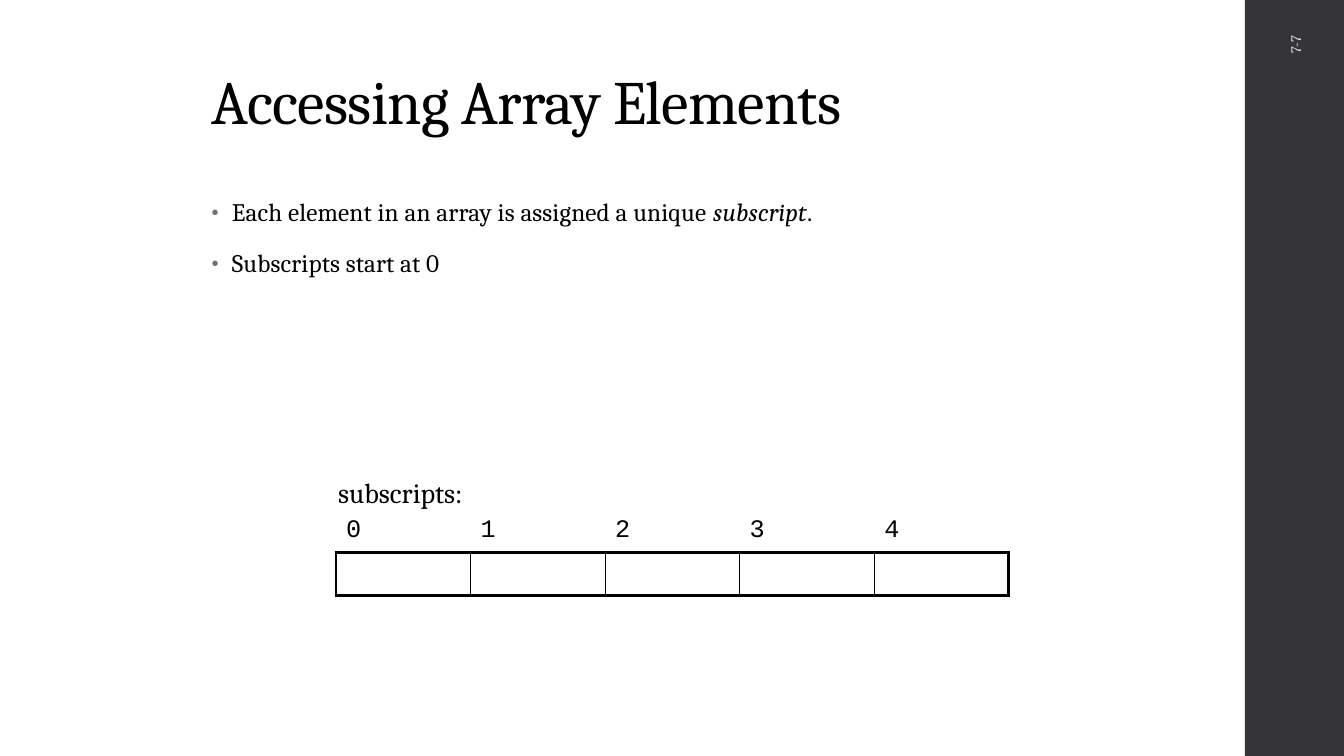
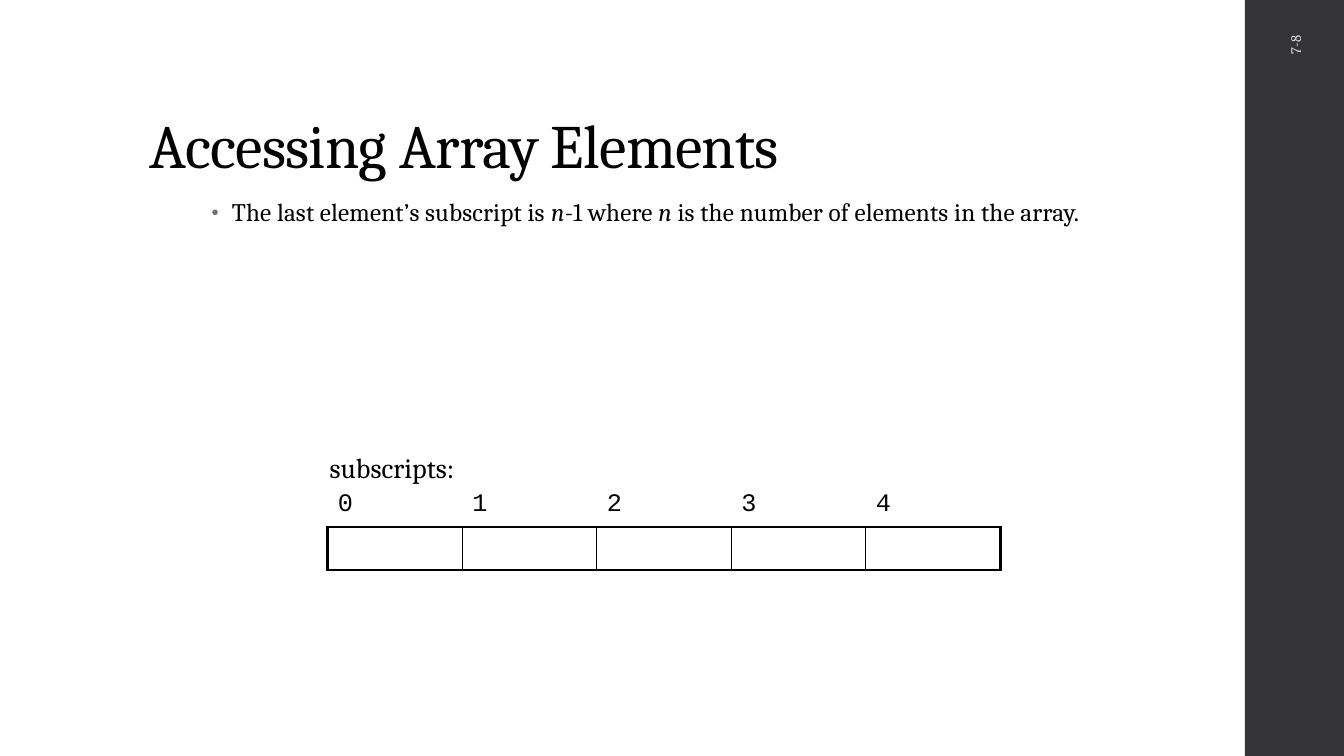
"""Build two slides on array subscripts with a shared title, band and array diagram."""
import dataclasses
import typing

import lxml.etree
import pptx
import pptx.dml.color
import pptx.enum.shapes
import pptx.enum.text
import pptx.oxml
import pptx.oxml.ns
import pptx.util

Cm = pptx.util.Cm
Pt = pptx.util.Pt
ALIGN = pptx.enum.text.PP_ALIGN
ANCHOR = pptx.enum.text.MSO_ANCHOR


@dataclasses.dataclass(frozen=True)
class Theme:
    text: str = "000000"
    band: str = "353537"
    number: str = "D9D9DB"
    bullet: str = "6F6F74"
    font: str = "Cambria"
    code_font: str = "Courier New"
    title_size: float = 44
    caption_size: float = 20
    body_size: float = 18
    number_size: float = 10.5
    thick_line: float = 2.25
    thin_line: float = 1


class Box(typing.NamedTuple):
    left: float
    top: float
    width: float
    height: float


@dataclasses.dataclass(frozen=True)
class ArraySlide:
    number: str
    title_box: Box
    bullets: tuple[str, ...]
    array_left: float
    array_top: float


THEME = Theme()
TITLE = "Accessing Array Elements"
BAND = Box(31.37, 0, 2.54, 19.05)
NUMBER_BOX = Box(30, 2.77, 5.28, 1.02)
BODY_BOX = Box(5.08, 4.88, 23.04, 12.7)
ELEMENT_COUNT = 5
ELEMENT_WIDTH = 3.39
LABEL_HEIGHT = 1.04
ELEMENT_HEIGHT = 1.08

SLIDES = (
    ArraySlide(
        "7-7",
        Box(5.08, 0.43, 21.79, 3.18),
        ("Each element in an array is assigned a unique *subscript*.", "Subscripts start at 0"),
        8.47,
        13.92,
    ),
    ArraySlide(
        "7-8",
        Box(3.51, 1.02, 26.92, 3.68),
        ("The last element’s subscript is *n*-1 where *n* is the number of elements in the array.",),
        8.26,
        13.28,
    ),
)


def lengths(box: Box) -> list[int]:
    """Convert a box in centimetres to lengths."""
    return [Cm(value) for value in box]


def write_text(paragraph, text: str, *, size: float, font: str = THEME.font, color: str = THEME.text,
               align=ALIGN.LEFT, tracking: float = 0, line_spacing: float = 1,
               before: float = 0, after: float = 0) -> None:
    """Write formatted text, with parts between asterisks in italics."""
    paragraph.alignment = align
    paragraph.line_spacing = line_spacing
    paragraph.space_before = Pt(before)
    paragraph.space_after = Pt(after)
    for index, part in enumerate(text.split("*")):
        run = paragraph.add_run()
        run.text = part
        run.font.name = font
        run.font.size = Pt(size)
        run.font.italic = index % 2 == 1
        run.font.color.rgb = pptx.dml.color.RGBColor.from_string(color)
        if tracking:
            run.font._element.set("spc", str(round(tracking * 100)))


def prepare_frame(shape, box: Box, anchor=ANCHOR.TOP):
    """Place a text shape and return its wrapped text frame."""
    shape.left, shape.top, shape.width, shape.height = lengths(box)
    frame = shape.text_frame
    frame.word_wrap = True
    frame.auto_size = pptx.enum.text.MSO_AUTO_SIZE.NONE
    frame.vertical_anchor = anchor
    return frame


def add_bullet(paragraph) -> None:
    """Give a paragraph a small grey hanging bullet."""
    properties = paragraph._p.get_or_add_pPr()
    properties.set("marL", str(Cm(0.51)))
    properties.set("indent", str(Cm(-0.51)))
    color = lxml.etree.SubElement(properties, pptx.oxml.ns.qn("a:buClr"))
    lxml.etree.SubElement(color, pptx.oxml.ns.qn("a:srgbClr"), val=THEME.bullet)
    lxml.etree.SubElement(properties, pptx.oxml.ns.qn("a:buSzPct"), val="80000")
    lxml.etree.SubElement(properties, pptx.oxml.ns.qn("a:buChar"), char="•")


def set_border(cell, side: str, width: float) -> None:
    """Draw a solid border on one side of a cell."""
    properties = cell._tc.get_or_add_tcPr()
    line = lxml.etree.SubElement(properties, pptx.oxml.ns.qn(f"a:ln{side}"), w=str(Pt(width)))
    fill = lxml.etree.SubElement(line, pptx.oxml.ns.qn("a:solidFill"))
    lxml.etree.SubElement(fill, pptx.oxml.ns.qn("a:srgbClr"), val=THEME.text)


def add_row(slide, left: float, top: float, height: float) -> list:
    """Add an unstyled one-row table and return its cells."""
    box = Box(left, top, ELEMENT_WIDTH * ELEMENT_COUNT, height)
    table = slide.shapes.add_table(1, ELEMENT_COUNT, *lengths(box)).table
    table.first_row = False
    table.horz_banding = False
    for column in table.columns:
        column.width = Cm(ELEMENT_WIDTH)
    return list(table.rows[0].cells)


def add_array(slide, left: float, top: float) -> None:
    """Draw the subscripts, the array elements and their caption."""
    for index, cell in enumerate(add_row(slide, left, top - LABEL_HEIGHT, LABEL_HEIGHT)):
        write_text(cell.text_frame.paragraphs[0], str(index), size=THEME.body_size, font=THEME.code_font)
        cell.fill.background()
    for index, cell in enumerate(add_row(slide, left, top, ELEMENT_HEIGHT)):
        set_border(cell, "L", THEME.thick_line if index == 0 else THEME.thin_line)
        set_border(cell, "R", THEME.thick_line if index == ELEMENT_COUNT - 1 else THEME.thin_line)
        set_border(cell, "T", THEME.thick_line)
        set_border(cell, "B", THEME.thick_line)
        cell.fill.background()
    caption_box = Box(left - 0.2, top - 2.06, 3.89, 1.96)
    caption = slide.shapes.add_textbox(*lengths(caption_box))
    frame = prepare_frame(caption, caption_box)
    write_text(frame.paragraphs[0], "subscripts:", size=THEME.caption_size)


def add_layout_band(slide) -> None:
    """Put the dark side band on the layout behind its placeholders."""
    band = slide.shapes.add_shape(pptx.enum.shapes.MSO_SHAPE.RECTANGLE, *lengths(BAND))
    band.shadow.inherit = False
    band.fill.solid()
    band.fill.fore_color.rgb = pptx.dml.color.RGBColor.from_string(THEME.band)
    band.line.fill.background()
    band.element.nvSpPr.cNvPr.set("id", "20")
    slide.slide_layout.placeholders[0].element.addprevious(band.element)


def fill_slide(slide, content: ArraySlide) -> None:
    """Fill one slide with its number, title, bullets and array."""
    number = slide.shapes.add_textbox(*lengths(NUMBER_BOX))
    number.rotation = 270
    frame = prepare_frame(number, NUMBER_BOX, ANCHOR.MIDDLE)
    write_text(frame.paragraphs[0], content.number, size=THEME.number_size,
               color=THEME.number, align=ALIGN.RIGHT)
    frame = prepare_frame(slide.shapes.title, content.title_box, ANCHOR.BOTTOM)
    write_text(frame.paragraphs[0], TITLE, size=THEME.title_size, tracking=-0.5, line_spacing=0.9)
    frame = prepare_frame(slide.placeholders[1], BODY_BOX)
    for index, bullet in enumerate(content.bullets):
        paragraph = frame.add_paragraph() if index else frame.paragraphs[0]
        write_text(paragraph, bullet, size=THEME.body_size, tracking=0.1,
                   line_spacing=0.95, before=14, after=2)
        add_bullet(paragraph)
    add_array(slide, content.array_left, content.array_top)


def main() -> None:
    """Build and save the presentation."""
    presentation = pptx.Presentation()
    presentation.slide_width = Cm(33.87)
    presentation.slide_height = Cm(19.05)
    layout = presentation.slide_layouts[1]
    slides = [presentation.slides.add_slide(layout) for _ in SLIDES]
    add_layout_band(slides[0])
    for slide, content in zip(slides, SLIDES):
        fill_slide(slide, content)
    presentation.save("out.pptx")


if __name__ == "__main__":
    main()
